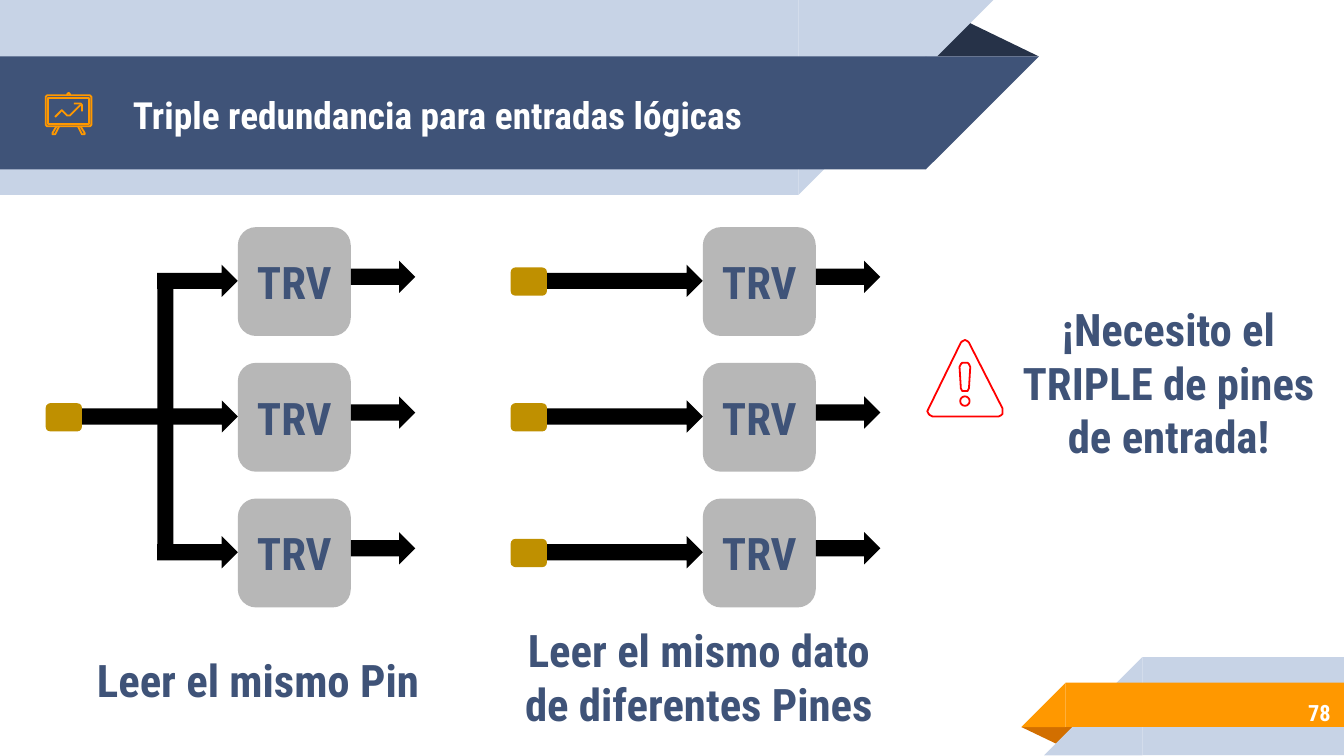
from math import cos, pi, sin

from pptx import Presentation
from pptx.dml.color import RGBColor
from pptx.enum.shapes import MSO_SHAPE
from pptx.enum.text import MSO_ANCHOR, PP_ALIGN
from pptx.util import Inches, Pt

RECT = MSO_SHAPE.RECTANGLE
ROUND = MSO_SHAPE.ROUNDED_RECTANGLE
TRIANGLE = MSO_SHAPE.ISOSCELES_TRIANGLE
RIGHT_TRIANGLE = MSO_SHAPE.RIGHT_TRIANGLE
ARROW = MSO_SHAPE.RIGHT_ARROW
LEFT, CENTER, RIGHT = PP_ALIGN.LEFT, PP_ALIGN.CENTER, PP_ALIGN.RIGHT
MIDDLE = MSO_ANCHOR.MIDDLE

FONT = "Roboto Condensed"
NAVY, DARK, PALE = "3F5378", "263248", "C7D3E6"
ORANGE, RUST, GOLD = "FF9800", "D26F00", "BF9000"
GRAY, BLACK, WHITE, RED = "B7B7B7", "000000", "FFFFFF", "FF0000"
SLIDE_W = 10
SLIDE_H = SLIDE_W * 9 / 16
ROW_PITCH = 1.01


def rgb(value):
    return RGBColor.from_string(value)


def add_shape(s, kind, x, y, w, h, fill, rotation=0, flip=False):
    sp = s.shapes.add_shape(kind, Inches(x), Inches(y), Inches(w), Inches(h))
    sp.shadow.inherit = False
    sp.fill.solid()
    sp.fill.fore_color.rgb = rgb(fill)
    sp.line.fill.background()
    sp.rotation = rotation
    if flip:
        sp._element.spPr.xfrm.set("flipH", "1")
    return sp


def set_text(sp, text, size, color, align):
    tf = sp.text_frame
    tf.word_wrap = True
    tf.vertical_anchor = MIDDLE
    tf.margin_left = tf.margin_right = Inches(0.1)
    tf.margin_top = tf.margin_bottom = Inches(0.1)
    p = tf.paragraphs[0]
    p.text = text
    p.alignment = align
    p.font.name = FONT
    p.font.size = Pt(size)
    p.font.bold = True
    p.font.color.rgb = rgb(color)


def add_text(s, x, y, w, h, text, size=24, color=NAVY, align=CENTER):
    sp = s.shapes.add_textbox(Inches(x), Inches(y), Inches(w), Inches(h))
    set_text(sp, text, size, color, align)


def add_outline(s, x, y, contours, color, close):
    paths = [[(Inches(x + px), Inches(y + py)) for px, py in c] for c in contours]
    builder = s.shapes.build_freeform(*paths[0][0], scale=1.0)
    for i, points in enumerate(paths):
        if i:
            builder.move_to(*points[0])
        builder.add_line_segments(points[1:], close=close)
    sp = builder.convert_to_shape()
    sp.shadow.inherit = False
    sp.fill.background()
    sp.line.color.rgb = rgb(color)
    sp.line.width = Pt(0.96)


def header_band(s, y, w, h, fill):
    add_shape(s, RECT, 0, y, w, h, fill, 180, True)
    add_shape(s, RIGHT_TRIANGLE, w, y, h, h, fill, 180, True)


def footer_band(s, x, y, h, fill):
    add_shape(s, RECT, x + h, y, SLIDE_W - x - h, h, fill, flip=True)
    add_shape(s, RIGHT_TRIANGLE, x, y, h, h, fill, flip=True)


def board_icon(s, x, y):
    frame = [(0.01, 0.02), (0.33, 0.02), (0.34, 0.03), (0.34, 0.24),
             (0.33, 0.25), (0.01, 0.25), (0, 0.24), (0, 0.03)]
    screen = [(0.02, 0.04), (0.02, 0.23), (0.32, 0.23), (0.32, 0.04)]
    for part in (frame, screen):
        add_outline(s, x, y, [part], ORANGE, True)
    knob = [(0.18, 0.02), (0.18, 0.01), (0.17, 0), (0.16, 0.01), (0.16, 0.02)]
    leg = [(0.08, 0.25), (0.05, 0.3), (0.05, 0.31), (0.06, 0.31),
           (0.07, 0.31), (0.1, 0.25)]
    other_leg = [(0.34 - px, py) for px, py in leg]
    trend = [(0.26, 0.09), (0.18, 0.17), (0.16, 0.17), (0.12, 0.13), (0.07, 0.18)]
    tip = [(0.21, 0.08), (0.26, 0.08), (0.27, 0.09), (0.27, 0.14)]
    for part in (knob, leg, other_leg, trend, tip):
        add_outline(s, x, y, [part], ORANGE, False)


def warning_icon(s, x, y):
    border = [(0.56, 0.51), (0.31, 0.02), (0.3, 0.01), (0.28, 0), (0.26, 0.01),
              (0.25, 0.02), (0.01, 0.51), (0, 0.53), (0.01, 0.55), (0.02, 0.56),
              (0.04, 0.57), (0.53, 0.57), (0.55, 0.56), (0.56, 0.55), (0.56, 0.53)]
    dot = [(0.28 + 0.035 * cos(i * pi / 8), 0.455 + 0.035 * sin(i * pi / 8))
           for i in range(16)]
    bar = [(0.32, 0.2), (0.31, 0.36), (0.3, 0.38), (0.28, 0.38), (0.26, 0.38),
           (0.25, 0.36), (0.24, 0.2), (0.25, 0.18), (0.26, 0.17), (0.3, 0.17),
           (0.31, 0.18)]
    add_outline(s, x, y, [border, dot, bar], RED, True)


def header(s):
    add_shape(s, TRIANGLE, 6.88, 0.14, 0.85, 0.28, DARK).adjustments[0] = 0.32
    header_band(s, 0, 5.94, 1.45, PALE)
    header_band(s, 0.42, 6.89, 0.84, NAVY)
    add_text(s, 0.89, 0.43, 5.98, 0.84, "Triple redundancia para entradas lógicas",
             20, WHITE, LEFT)
    board_icon(s, 0.34, 0.69)


def footer(s):
    add_shape(s, TRIANGLE, 7.6, 5.41, 0.43, 0.14, RUST, 180).adjustments[0] = 0.32
    footer_band(s, 7.77, 4.89, 0.73, PALE)
    footer_band(s, 7.6, 5.08, 0.33, ORANGE)
    add_text(s, 8.37, 5.13, 1.63, 0.35, "78", 12, WHITE, RIGHT)


def reading_diagram(s, x, y, arrow_starts, pin_rows):
    for row, start in enumerate(arrow_starts):
        top = y + row * ROW_PITCH
        add_shape(s, ARROW, x + start, top + 0.28, 1.43 - start, 0.24, BLACK)
        block = add_shape(s, ROUND, x + 1.43, top, 0.84, 0.81, GRAY)
        set_text(block, "TRV", 24, NAVY, CENTER)
        add_shape(s, ARROW, x + 2.27, top + 0.25, 0.48, 0.24, BLACK)
    for row in pin_rows:
        add_shape(s, ROUND, x, y + row * ROW_PITCH + 0.3, 0.27, 0.21, GOLD)


def single_pin(s, x, y):
    reading_diagram(s, x, y, (0.83, 0.25, 0.83), (1,))
    add_shape(s, RECT, x + 0.83, y + 0.38, 0.12, 2.09, BLACK)
    add_text(s, x + 0.1, y + 3.19, 2.96, 0.35, "Leer el mismo Pin")


def separate_pins(s, x, y):
    reading_diagram(s, x, y, (0.27, 0.27, 0.27), range(3))
    add_text(s, x - 0.08, y + 3.03, 2.96, 0.63,
             "Leer el mismo dato de diferentes Pines")


def warning(s, x, y):
    add_text(s, x + 0.56, y - 0.32, 2.47, 1.27,
             "¡Necesito el TRIPLE de pines de entrada!")
    warning_icon(s, x, y)


def main():
    prs = Presentation()
    prs.slide_width, prs.slide_height = Inches(SLIDE_W), Inches(SLIDE_H)
    s = prs.slides.add_slide(prs.slide_layouts[6])
    header(s)
    footer(s)
    single_pin(s, 0.34, 1.69)
    separate_pins(s, 3.8, 1.69)
    warning(s, 6.9, 2.53)
    prs.save("out.pptx")


if __name__ == "__main__":
    main()
